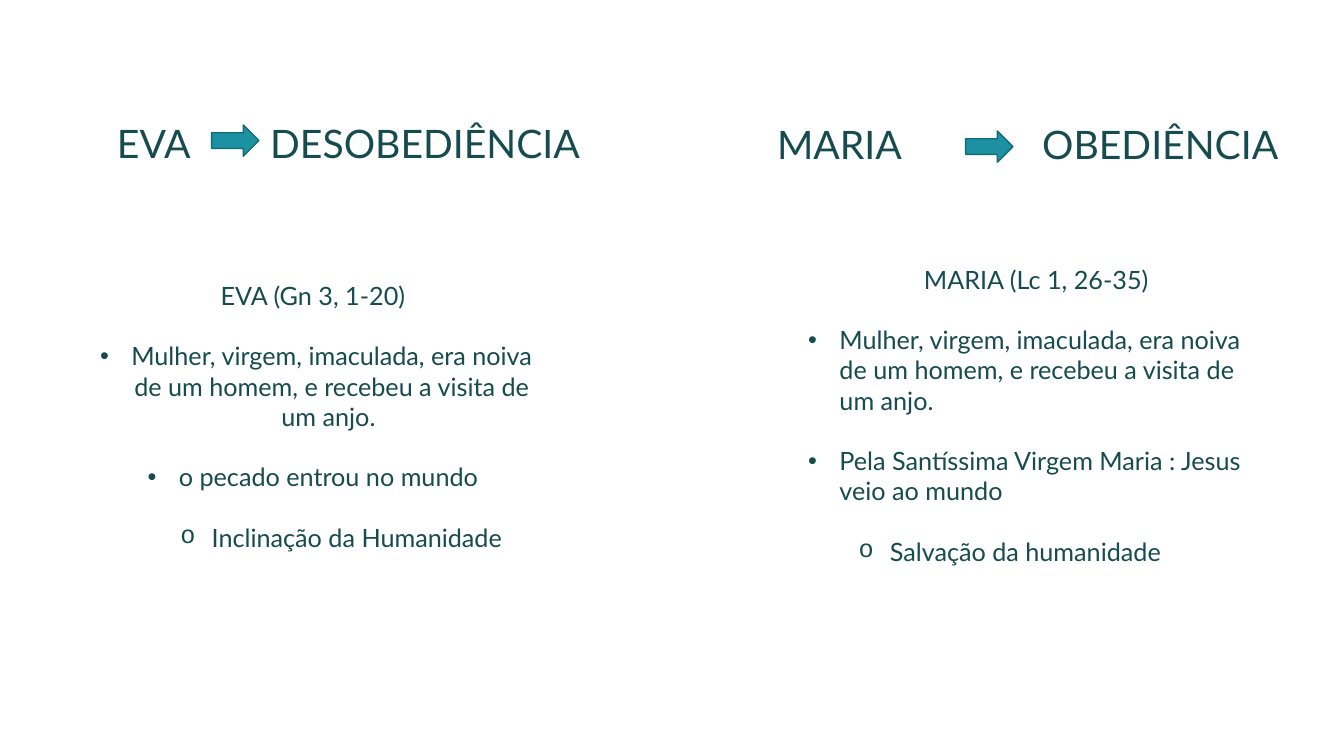
import pptx
import pptx.util
import pptx.dml.color
import pptx.enum.shapes
import pptx.enum.text
import pptx.oxml

COLORS = {"text": "164B4F", "arrow": "1B91A1", "edge": "146B77"}
WIDTH, HEIGHT = pptx.util.Inches(13.333), pptx.util.Inches(7.5)
COL, ROW = WIDTH / 100, HEIGHT / 100  # grid of 100 columns by 100 rows
HEAD_HEIGHT = 7.07
LINE_GAP = 21.6
CENTER = pptx.enum.text.PP_ALIGN.CENTER
LEFT = pptx.enum.text.PP_ALIGN.LEFT
NS = 'xmlns:a="http://schemas.openxmlformats.org/drawingml/2006/main"'


def color(name):
    return pptx.dml.color.RGBColor.from_string(COLORS[name])


def grid(x, y, w, h):
    return [round(v) for v in (x * COL, y * ROW, w * COL, h * ROW)]


def add_element(p, xml):
    p._p.get_or_add_pPr().append(pptx.oxml.parse_xml(xml))


def text_frame(s, box):
    tf = s.shapes.add_textbox(*grid(*box)).text_frame
    tf.word_wrap = True
    return tf


def write(p, text, size, **formats):
    for name, value in formats.items():
        setattr(p, name, value)
    r = p.add_run()
    r.text = text
    font = {"name": "Lato", "size": pptx.util.Pt(size)}
    for name, value in font.items():
        setattr(r.font, name, value)
    r.font.color.rgb = color("text")


def add_bullet(p, level):
    pPr = p._p.get_or_add_pPr()
    hang = pptx.util.Inches(0.31)
    pPr.set("marL", str(hang + level * pptx.util.Inches(0.5)))
    pPr.set("indent", str(-hang))
    face, char = (("Arial", "•"), ("Courier New", "o"))[level]
    add_element(p, f'<a:buFont {NS} typeface="{face}"/>')
    add_element(p, f'<a:buChar {NS} char="{char}"/>')


def add_heading(s, box, inset, words, tab):
    """Two words, the second one set at a tab stop after the arrow."""
    tf = text_frame(s, box)
    tf.margin_left = pptx.util.Inches(inset)
    p = tf.paragraphs[0]
    add_element(p, f'<a:tabLst {NS}><a:tab pos="{pptx.util.Inches(tab)}" algn="l"/></a:tabLst>')
    write(p, "\t".join(words), 28, alignment=LEFT, line_spacing=0.9)


def add_arrow(s, x, y):
    sp = s.shapes.add_shape(pptx.enum.shapes.MSO_SHAPE.RIGHT_ARROW,
                            *grid(x, y, 3.52, 4.13))
    sp.shadow.inherit = False
    sp.fill.solid()
    sp.fill.fore_color.rgb = color("arrow")
    sp.line.color.rgb = color("edge")
    sp.line.width = pptx.util.Pt(1)


def add_points(s, box, title, points, alignment):
    tf = text_frame(s, box)
    write(tf.paragraphs[0], title, 18, alignment=CENTER)
    for level, text in points:
        p = tf.add_paragraph()
        add_bullet(p, level)
        write(p, text, 18, level=level, alignment=alignment,
              space_before=pptx.util.Pt(LINE_GAP))


def main():
    prs = pptx.Presentation()
    prs.slide_width, prs.slide_height = WIDTH, HEIGHT
    s = prs.slides.add_slide(prs.slide_layouts[6])

    # Eve, on the left
    add_points(s, (6.38, 36.4, 34.28, 45.33), "EVA (Gn 3, 1-20) ", [
        (0, "Mulher, virgem, imaculada, era noiva de um homem, e recebeu a visita de um anjo. "),
        (0, "o pecado entrou no mundo "),
        (1, "Inclinação da Humanidade"),
    ], CENTER)
    add_heading(s, (6.38, 15.87, 39.6, HEAD_HEIGHT), 0.31,
                ("EVA", "DESOBEDIÊNCIA"), 1.52)
    add_arrow(s, 15.75, 16.53)

    # Mary, on the right
    add_points(s, (59.4, 34.27, 35.4, 41.73), "MARIA (Lc 1, 26-35)", [
        (0, "Mulher, virgem, imaculada, era noiva de um homem, e recebeu a visita de um anjo."),
        (0, "Pela Santíssima Virgem Maria : Jesus veio ao mundo"),
        (1, "Salvação da humanidade"),
    ], LEFT)
    add_heading(s, (51.15, 16, 47.25, HEAD_HEIGHT), 0.89,
                ("MARIA", "OBEDIÊNCIA"), 2.63)
    add_arrow(s, 71.85, 17.33)

    prs.save("out.pptx")


if __name__ == "__main__":
    main()
